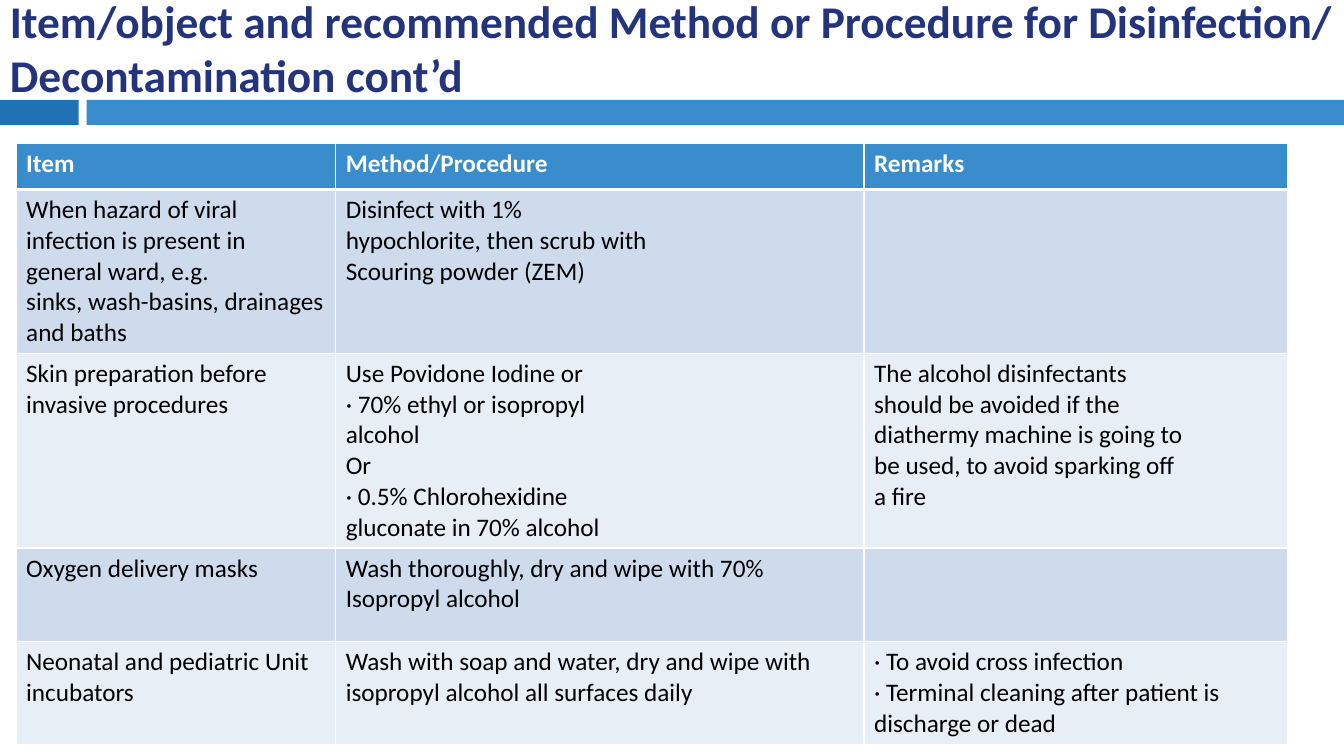
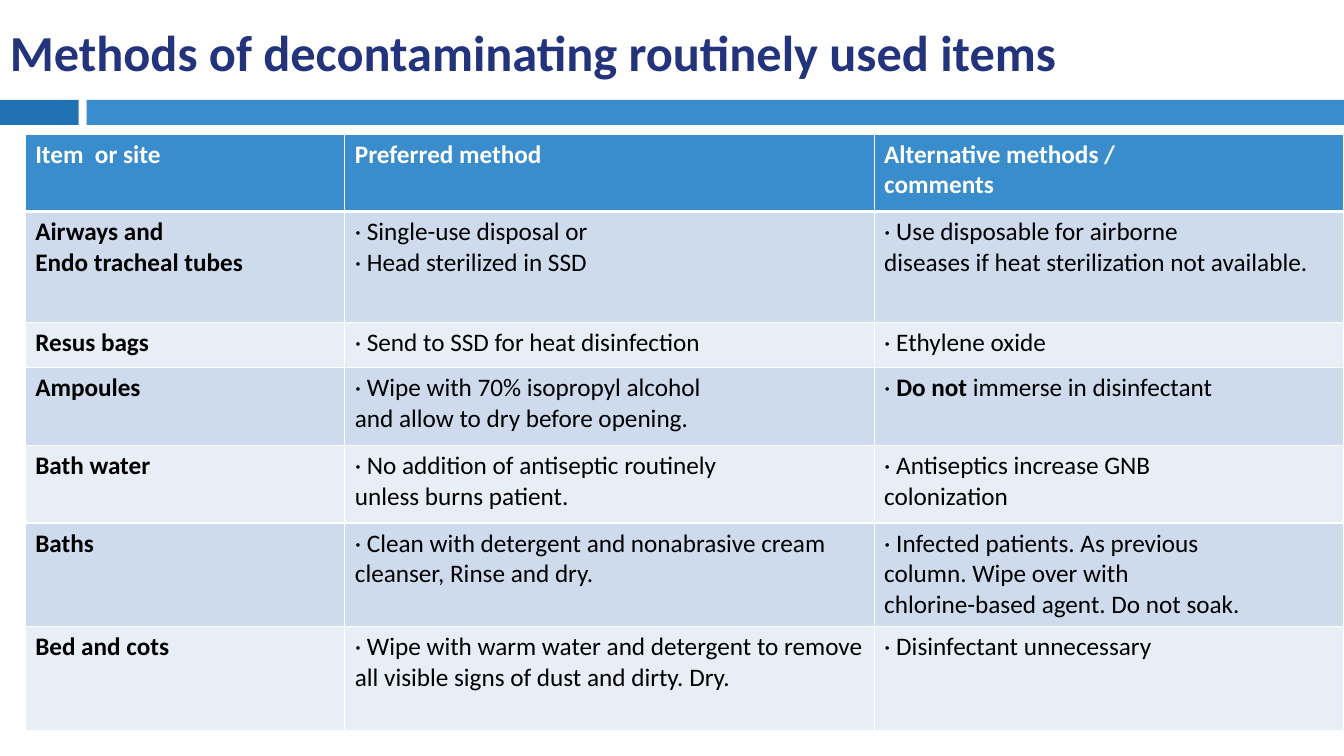
from lxml import etree
from pptx import Presentation
from pptx.dml.color import RGBColor
from pptx.enum.shapes import MSO_SHAPE
from pptx.enum.text import MSO_ANCHOR
from pptx.oxml.ns import qn
from pptx.util import Inches, Pt

RECT = MSO_SHAPE.RECTANGLE
MIDDLE = MSO_ANCHOR.MIDDLE
FONT = "Calibri"
COLORS = {
    "title": "23347D", "dark": "2172B5", "blue": "398DCD",
    "odd": "CEDBED", "even": "E8EEF6", "white": "FFFFFF", "black": "000000",
}
WIDE, HIGH = 13.33, 7.5

# Cells hold lines split by \n; ** turns bold on and off
ITEMS = [
    ["Item", "Method/Procedure", "Remarks"],
    ["When hazard of viral infection is present in general ward, e.g.\n"
     "sinks, wash-basins, drainages and baths",
     "Disinfect with 1%\nhypochlorite, then scrub with\nScouring powder (ZEM)", ""],
    ["Skin preparation before invasive procedures",
     "Use Povidone Iodine or\n· 70% ethyl or isopropyl\nalcohol\nOr\n"
     "· 0.5% Chlorohexidine\ngluconate in 70% alcohol",
     "The alcohol disinfectants\nshould be avoided if the\n"
     "diathermy machine is going to\nbe used, to avoid sparking off\na fire"],
    ["Oxygen delivery masks",
     "Wash thoroughly, dry and wipe with 70% Isopropyl alcohol", ""],
    ["Neonatal and pediatric Unit incubators",
     "Wash with soap and water, dry and wipe with isopropyl alcohol all surfaces daily",
     "· To avoid cross infection\n"
     "· Terminal cleaning after patient is discharge or dead"],
]
METHODS = [
    ["Item  or site", "Preferred method", "Alternative methods /\ncomments"],
    ["Airways and\nEndo tracheal tubes",
     "· Single-use disposal or\n· Head sterilized in SSD",
     "· Use disposable for airborne\ndiseases if heat sterilization not available."],
    ["Resus bags", "· Send to SSD for heat disinfection", "· Ethylene oxide"],
    ["Ampoules",
     "· Wipe with 70% isopropyl alcohol\nand allow to dry before opening.",
     "· **Do not **immerse in disinfectant"],
    ["Bath water",
     "· No addition of antiseptic routinely\nunless burns patient.",
     "· Antiseptics increase GNB\ncolonization"],
    ["Baths",
     "· Clean with detergent and nonabrasive cream cleanser, Rinse and dry.",
     "· Infected patients. As previous\ncolumn. Wipe over with\n"
     "chlorine-based agent. Do not soak."],
    ["Bed and cots",
     "· Wipe with warm water and detergent to remove all visible signs of dust and dirty. Dry.",
     "· Disinfectant unnecessary"],
]


def color(name):
    return RGBColor.from_string(COLORS[name])


def style(font, size, name, bold):
    font.name, font.size, font.bold = FONT, Pt(size), bold
    font.color.rgb = color(name)


def add_bands(slide, top, high):
    """Short dark band and long blue band under the title."""
    for left, wide, name in ((0, 0.78, "dark"), (0.86, WIDE - 0.86, "blue")):
        band = slide.shapes.add_shape(
            RECT, Inches(left), Inches(top), Inches(wide), Inches(high))
        band.shadow.inherit = False
        band.fill.solid()
        band.fill.fore_color.rgb = color(name)
        band.line.fill.background()


def add_title(slide, text, size, high):
    box = slide.shapes.add_textbox(0, Inches(0.1), Inches(WIDE), Inches(high))
    frame = box.text_frame
    frame.word_wrap = True
    frame.vertical_anchor = MIDDLE
    frame.text = text
    style(frame.paragraphs[0].runs[0].font, size, "title", True)


def add_borders(cell, widths):
    """White lines, which must come before the fill of the cell."""
    props = cell._tc.get_or_add_tcPr()
    for spot, (side, width) in enumerate(widths.items()):
        line = etree.Element(qn("a:ln" + side), w=str(Pt(width)))
        fill = etree.SubElement(line, qn("a:solidFill"))
        etree.SubElement(fill, qn("a:srgbClr"), val=COLORS["white"])
        props.insert(spot, line)


def fill_cell(cell, text, row, bold):
    head = row == 0
    cell.text = text
    for para, line in zip(cell.text_frame.paragraphs, text.split("\n")):
        para.text = ""
        para.font.size = Pt(18)
        for spot, part in enumerate(line.split("**")):
            if part:
                run = para.add_run()
                run.text = part
                style(run.font, 18, "white" if head else "black", bold or spot % 2 == 1)
    cell.fill.solid()
    cell.fill.fore_color.rgb = color("blue" if head else "odd" if row % 2 else "even")
    add_borders(cell, {"L": 1, "R": 1, "T": 3 if row == 1 else 1, "B": 3 if head else 1})


def add_grid(slide, left, top, cols, rows, data, strong):
    """Banded table; strong makes the first column bold."""
    table = slide.shapes.add_table(
        len(rows), len(cols), Inches(left), Inches(top),
        Inches(sum(cols)), Inches(sum(rows))).table
    for col, wide in zip(table.columns, cols):
        col.width = Inches(wide)
    for r, high in enumerate(rows):
        table.rows[r].height = Inches(high)
        for c, text in enumerate(data[r]):
            fill_cell(table.cell(r, c), text, r, r == 0 or (strong and c == 0))


def add_page(deck, title, size, high, **grid):
    slide = deck.slides.add_slide(deck.slide_layouts[6])
    add_bands(slide, 0.99, 0.25)
    add_grid(slide, **grid)
    add_title(slide, title, size, high)


def main():
    deck = Presentation()
    deck.slide_width, deck.slide_height = Inches(WIDE), Inches(HIGH)
    add_page(
        deck, "Item/object and recommended Method or Procedure for Disinfection/ "
        "Decontamination cont’d", 32.4, 0.74,
        left=0.16, top=1.42, cols=[3.17, 5.24, 4.2],
        rows=[0.46, 1.62, 1.93, 0.93, 1.02], data=ITEMS, strong=False)
    add_page(
        deck, "Methods of decontaminating routinely used items", 36, 0.81,
        left=0.25, top=1.33, cols=[3.17, 5.25, 4.66],
        rows=[0.77, 1.1, 0.45, 0.77, 0.77, 1.03, 1.03], data=METHODS, strong=True)
    deck.save("out.pptx")


if __name__ == "__main__":
    main()
